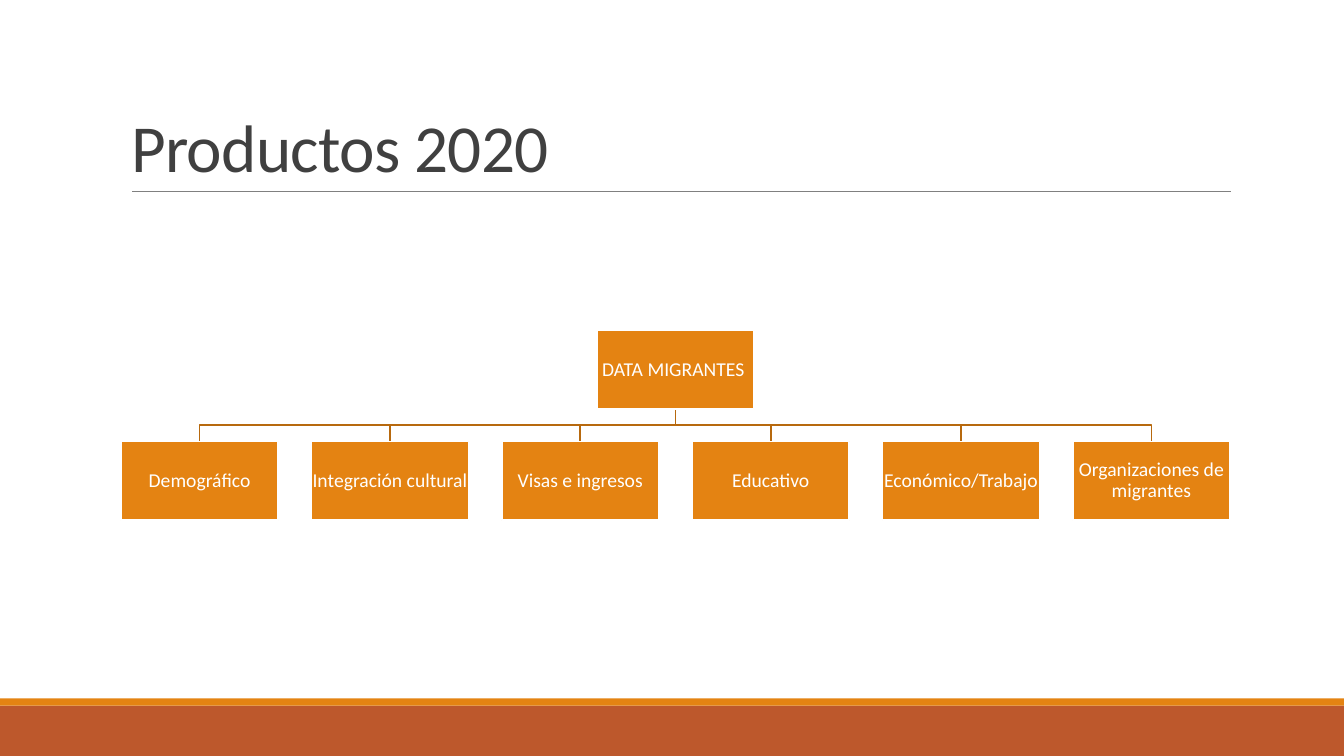
from lxml import etree
from pptx import Presentation
from pptx import util as u
from pptx.dml.color import RGBColor
from pptx.enum import shapes, text
from pptx.oxml.ns import qn

FONT = "Calibri"
ORANGE = "E48312"
WHITE = "FFFFFF"
BOX_W, BOX_H = 1.56, 0.78
ROOT_X, ROOT_Y = 5.92, 3.28
LEAF_X, LEAF_Y = 1.2, 4.38
STEP = (10.64 - LEAF_X) / 5
TOPICS = [
    "Demográfico",
    "Integración cultural",
    "Visas e ingresos",
    "Educativo",
    "Económico/Trabajo",
    "Organizaciones de migrantes",
]


def paint(color, value):
    color.rgb = RGBColor.from_string(value)


def stroke(line, color, width):
    paint(line.fill.fore_color if line.fill.type else line.color, color)
    line.width = u.Pt(width)


def style(par, size, color, spacing):
    par.line_spacing = spacing
    for run in par.runs:
        run.font.name = FONT
        run.font.size = u.Pt(size)
        paint(run.font.color, color)


def add_rect(slide, x, y, w, h, fill):
    rect = slide.shapes.add_shape(
        shapes.MSO_SHAPE.RECTANGLE, *map(u.Inches, (x, y, w, h)))
    rect.shadow.inherit = False
    rect.fill.solid()
    paint(rect.fill.fore_color, fill)
    rect.line.fill.background()
    return rect


def add_rule(slide, x1, x2, y):
    rule = slide.shapes.add_connector(
        shapes.MSO_CONNECTOR.STRAIGHT, *map(u.Inches, (x1, y, x2, y)))
    stroke(rule.line, "808080", 0.5)
    etree.SubElement(rule._element.spPr, qn("a:effectLst"))


def add_title(slide, words):
    title = slide.shapes.title
    title.left, title.top = u.Inches(1.2), u.Inches(0.31)
    title.width, title.height = u.Inches(11), u.Inches(1.59)
    frame = title.text_frame
    frame.text = words
    frame.auto_size = text.MSO_AUTO_SIZE.NONE
    frame.vertical_anchor = text.MSO_ANCHOR.BOTTOM
    par = frame.paragraphs[0]
    par.alignment = text.PP_ALIGN.LEFT
    style(par, 48, "404040", 0.85)
    par.runs[0].font._element.set("spc", "-50")


def add_branch(slide, end):
    start = ROOT_X + BOX_W / 2
    top = ROOT_Y + BOX_H
    mid = (top + LEAF_Y) / 2
    path = slide.shapes.build_freeform(u.Inches(start), u.Inches(top))
    turns = [(start, mid), (end, mid), (end, LEAF_Y)]
    path.add_line_segments(
        [(u.Inches(x), u.Inches(y)) for x, y in turns], close=False)
    branch = path.convert_to_shape()
    branch.shadow.inherit = False
    branch.fill.background()
    stroke(branch.line, "B7690E", 1.25)


def add_box(slide, x, y, words):
    box = add_rect(slide, x, y, BOX_W, BOX_H, ORANGE)
    box.line.fill.solid()
    stroke(box.line, WHITE, 1.25)
    frame = box.text_frame
    frame.text = words
    frame.word_wrap = True
    frame.vertical_anchor = text.MSO_ANCHOR.MIDDLE
    frame.margin_left = frame.margin_right = 0
    frame.margin_top = frame.margin_bottom = u.Inches(0.01)
    par = frame.paragraphs[0]
    par.alignment = text.PP_ALIGN.CENTER
    style(par, 14, WHITE, 0.9)


def main():
    deck = Presentation()
    deck.slide_width, deck.slide_height = u.Inches(13.33), u.Inches(7.5)
    slide = deck.slides.add_slide(deck.slide_layouts[5])
    add_rect(slide, 0, 7, 13.33, 0.5, "BD582C")
    add_rect(slide, 0, 6.93, 13.33, 0.07, ORANGE)
    add_rule(slide, 1.31, 12.21, 1.9)
    add_title(slide, "Productos 2020")
    lefts = [LEAF_X + i * STEP for i in range(len(TOPICS))]
    for x in reversed(lefts):
        add_branch(slide, x + BOX_W / 2)
    add_box(slide, ROOT_X, ROOT_Y, "DATA MIGRANTES ")
    for x, topic in zip(lefts, TOPICS):
        add_box(slide, x, LEAF_Y, topic)
    deck.save("out.pptx")


if __name__ == "__main__":
    main()
